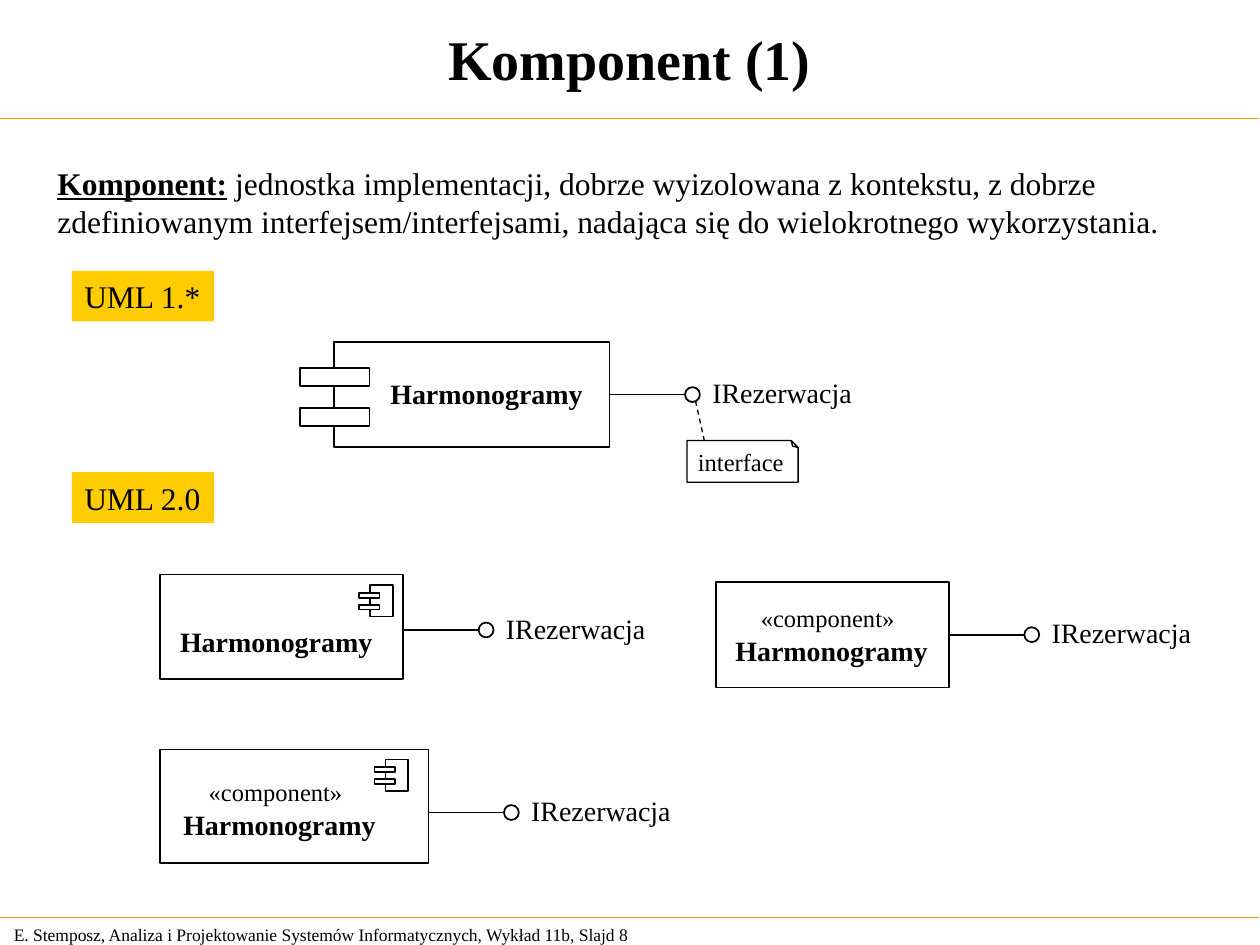
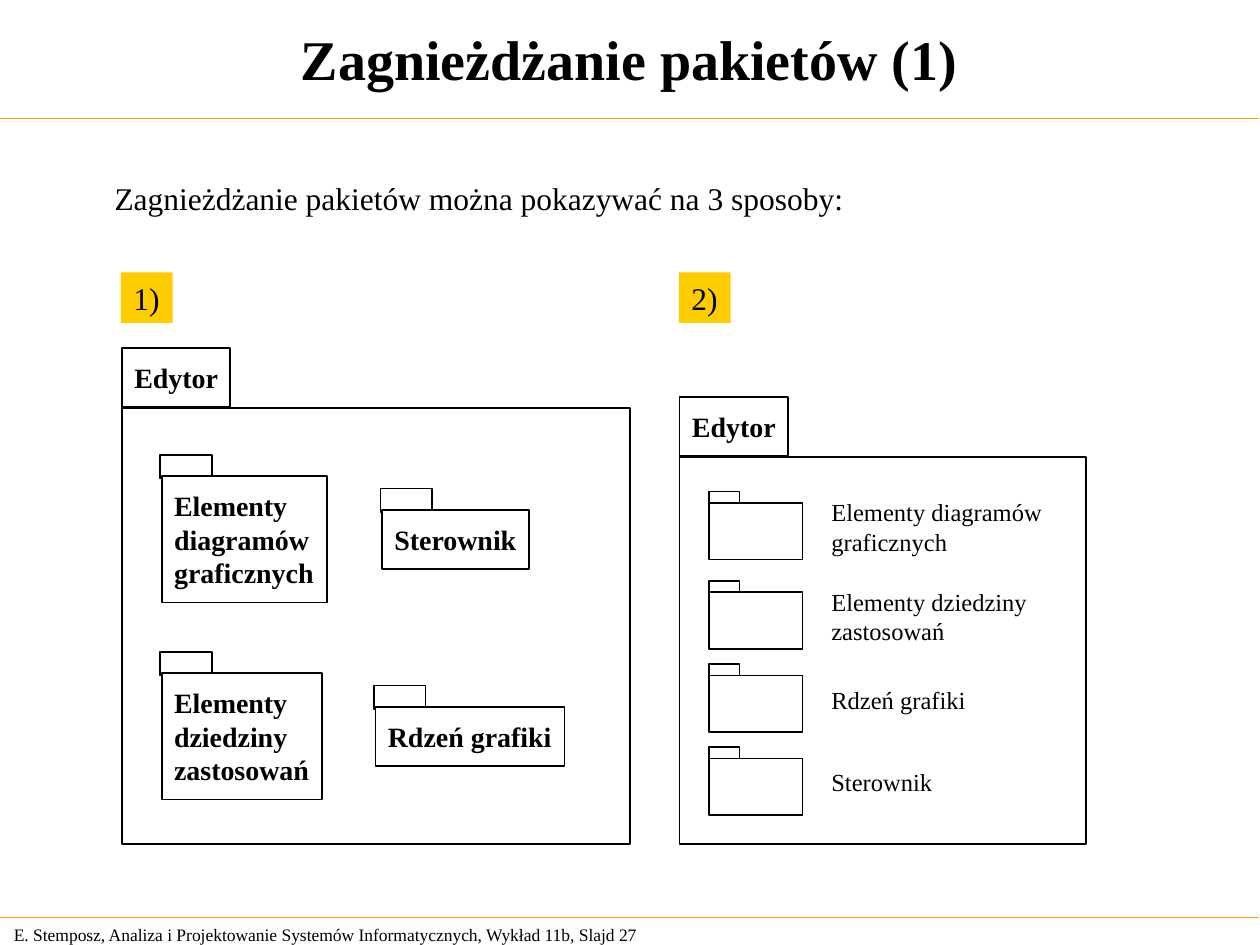
"""Builds two UML lecture slides on components and nested packages."""
from lxml import etree
from pptx import Presentation
from pptx.dml.color import RGBColor
from pptx.enum.dml import MSO_LINE
from pptx.enum.shapes import MSO_CONNECTOR, MSO_SHAPE
from pptx.enum.text import MSO_ANCHOR, MSO_AUTO_SIZE, PP_ALIGN
from pptx.oxml.ns import qn
from pptx.util import Cm, Pt

RECT, OVAL, NOTE = MSO_SHAPE.RECTANGLE, MSO_SHAPE.OVAL, MSO_SHAPE.FOLDED_CORNER
LEFT, MID = PP_ALIGN.LEFT, PP_ALIGN.CENTER
TOP, CENTER = MSO_ANCHOR.TOP, MSO_ANCHOR.MIDDLE
STRAIGHT, DASH, FIXED = MSO_CONNECTOR.STRAIGHT, MSO_LINE.DASH, MSO_AUTO_SIZE.NONE
FONT, INK, PAPER, RULE, GOLD = "Times New Roman", "000000", "FFFFFF", "FF9900", "FFCC00"
FOOT = "E. Stemposz, Analiza i Projektowanie Systemów Informatycznych, Wykład 11b, Slajd "


def paint(code):
    return RGBColor.from_string(code)


def place(shape, x, y, w, h):
    shape.left, shape.top, shape.width, shape.height = Cm(x), Cm(y), Cm(w), Cm(h)


def write(para, text, size=16, bold=False, under=False):
    run = para.add_run()
    run.text = text
    font = run.font
    font.name, font.size, font.bold, font.underline = FONT, Pt(size), bold, under
    font.color.rgb = paint(INK)


class Deck:
    def __init__(self):
        self.file = Presentation()
        self.file.slide_width, self.file.slide_height = Cm(25.4), Cm(19.05)
        self.slide = None

    def page(self, title, num):
        self.slide = self.file.slides.add_slide(self.file.slide_layouts[5])
        for y in (2.39, 18.49):
            self.line(-0.02, y, 25.38, y, color=RULE, width=0.75)
        self.text(0.03, 18.49, 13.31, 0.69, [f"{FOOT}{num}"], wrap=True,
                  anchor=CENTER, size=10)
        head = self.slide.shapes.title
        place(head, 0, 0, 25.38, 2.34)
        self.fill(head, [title], align=MID, anchor=CENTER, wrap=True, size=32, bold=True)

    def fill(self, shape, lines, align=LEFT, anchor=TOP, wrap=False, pad=0.13, **form):
        frame = shape.text_frame
        frame.auto_size, frame.word_wrap, frame.vertical_anchor = FIXED, wrap, anchor
        frame.margin_left = frame.margin_right = Cm(0.25)
        frame.margin_top = frame.margin_bottom = Cm(pad)
        for i, line in enumerate(lines):
            para = frame.add_paragraph() if i else frame.paragraphs[0]
            para.alignment = align
            for text, extra in [(line, {})] if isinstance(line, str) else line:
                write(para, text, **{**form, **extra})

    def text(self, x, y, w, h, lines, **form):
        box = self.slide.shapes.add_textbox(Cm(x), Cm(y), Cm(w), Cm(h))
        self.fill(box, lines, **form)

    def box(self, x, y, w, h, kind=RECT, fill=PAPER, edge=1):
        shape = self.slide.shapes.add_shape(kind, Cm(x), Cm(y), Cm(w), Cm(h))
        shape.shadow.inherit = False
        if fill:
            shape.fill.solid()
            shape.fill.fore_color.rgb = paint(fill)
        else:
            shape.fill.background()
        if edge:
            shape.line.color.rgb, shape.line.width = paint(INK), Pt(edge)
        else:
            shape.line.fill.background()
        return shape

    def line(self, x, y, end, low, color=INK, width=1, dash=None):
        link = self.slide.shapes.add_connector(STRAIGHT, Cm(x), Cm(y), Cm(end), Cm(low))
        link.line.color.rgb, link.line.width = paint(color), Pt(width)
        if dash:
            link.line.dash_style = dash
        etree.SubElement(link._element.spPr, qn("a:effectLst"))
        return link

    def tag(self, x, y, w, text):
        self.fill(self.box(x, y, w, 1.02, fill=GOLD, edge=0), [text], size=18)

    def unit(self, x, y, w, h, port=None):
        body = self.box(x, y, w, h)
        level = port or y + h / 2
        ball = x + w + 1.52
        link = self.line(x + w, level, ball, level)
        if port is None:
            link.begin_connect(body, 3)
        self.box(ball, level - 0.15, 0.3, 0.3, kind=OVAL)
        self.text(ball + 0.3, level - 0.51, 3.33, 0.94, ["IRezerwacja"])

    def bars(self, x, y, w, h, step):
        for i in range(2):
            self.box(x, y + i * step, w, h)

    def icon(self, x, y):
        self.box(x + 0.22, y, 0.46, 0.64)
        self.bars(x, y + 0.16, 0.41, 0.1, 0.24)

    def label(self, x, y):
        self.text(x, y, 4.37, 0.94, ["Harmonogramy"], bold=True)

    def role(self, x, y):
        lines = [[("«component»", {"size": 14}), (" ", {"size": 18})],
                 [("Harmonogramy", {"bold": True})]]
        self.text(x, y, 4.37, 1.7, lines, align=MID)

    def pack(self, x, y, w, lines):
        self.box(x, y, 1.04, 0.48)
        body = self.box(x + 0.03, y + 0.43, w, 0.51 + 0.68 * len(lines))
        self.fill(body, lines, pad=0.25, bold=True)

    def frame(self, x, y, w, h):
        self.box(x, y, w, h)
        self.fill(self.box(x, y - 1.21, 2.18, 1.19), ["Edytor"], pad=0.25, bold=True)

    def entry(self, x, y, lines):
        self.box(x, y, 0.61, 0.28)
        self.box(x, y + 0.23, 1.88, 1.14)
        high = 0.25 + 0.59 * len(lines)
        self.text(x + 2.21, y + 0.7 - high / 2, 5.3, high, lines, wrap=True, size=14)


def units(deck):
    deck.page("Komponent (1)", 8)
    deck.text(0.91, 3.18, 23.42, 1.78, [[
        ("Komponent:", {"bold": True, "under": True}),
        (" jednostka implementacji, dobrze wyizolowana z kontekstu, z dobrze "
         "zdefiniowanym interfejsem/interfejsami, nadająca się do wielokrotnego "
         "wykorzystania.", {})]], wrap=True, size=18)
    deck.tag(1.45, 5.46, 2.87, "UML 1.*")
    deck.tag(1.45, 9.52, 2.87, "UML 2.0")

    deck.unit(6.73, 6.9, 5.56, 2.11)
    deck.bars(6.05, 7.42, 1.4, 0.36, 0.81)
    deck.label(7.62, 7.47)
    deck.box(14.55, 8.18, 0.84, 2.24, kind=NOTE, fill=None, edge=0.75).rotation = 270
    deck.text(13.82, 8.89, 2.24, 0.86, ["interface"], size=14)
    deck.line(14.02, 8.08, 14.2, 8.89, width=0.75, dash=DASH)

    deck.unit(3.23, 11.58, 4.9, 2.11, port=12.7)
    deck.icon(7.24, 11.79)
    deck.label(3.38, 12.47)

    deck.unit(14.43, 11.73, 4.7, 2.13)
    deck.role(14.58, 11.89)

    deck.unit(3.23, 15.11, 5.41, 2.29, port=16.38)
    deck.icon(7.55, 15.31)
    deck.role(3.45, 15.39)


def nests(deck):
    deck.page("Zagnieżdżanie pakietów (1)", 27)
    deck.text(2.06, 3.48, 15.21, 1.02,
              ["Zagnieżdżanie pakietów można pokazywać na 3 sposoby:"], size=18)
    deck.tag(2.44, 5.49, 1.04, "1)")
    deck.tag(13.69, 5.49, 1.04, "2)")

    graph = ["Elementy", "diagramów", "graficznych"]
    field = ["Elementy", "dziedziny", "zastosowań"]
    core, pilot = ["Rdzeń grafiki"], ["Sterownik"]
    deck.frame(2.46, 8.23, 10.24, 8.79)
    deck.pack(3.23, 9.17, 3.33, graph)
    deck.pack(7.67, 9.85, 2.97, pilot)
    deck.pack(3.23, 13.14, 3.23, field)
    deck.pack(7.54, 13.82, 3.81, core)

    deck.frame(13.7, 9.22, 8.2, 7.8)
    rows = [(9.91, [" ".join(graph[:2]), graph[2]]),
            (11.71, [" ".join(field[:2]), field[2]]),
            (13.39, core), (15.06, pilot)]
    for y, lines in rows:
        deck.entry(14.3, y, lines)


def main():
    deck = Deck()
    units(deck)
    nests(deck)
    deck.file.save("out.pptx")


if __name__ == "__main__":
    main()
